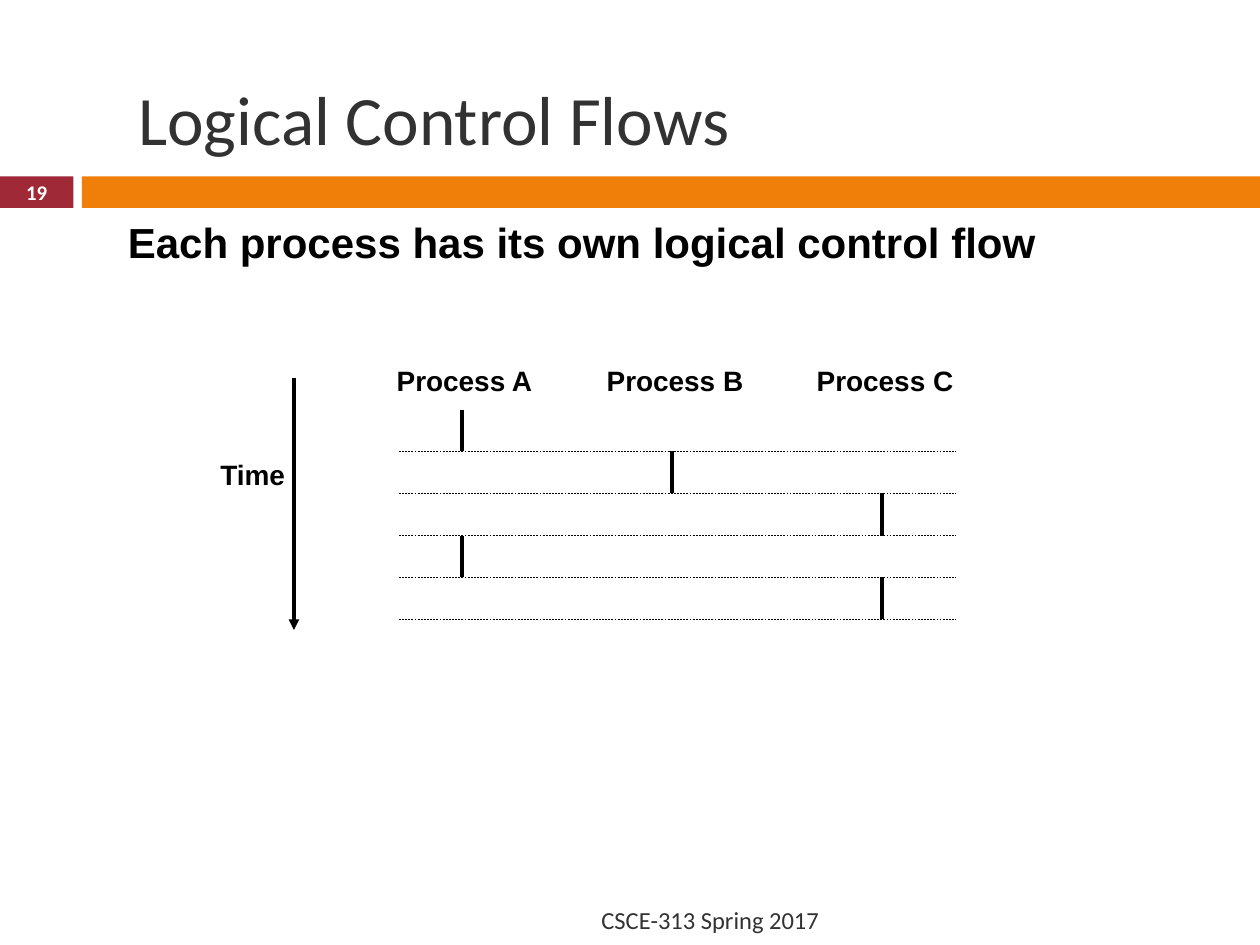
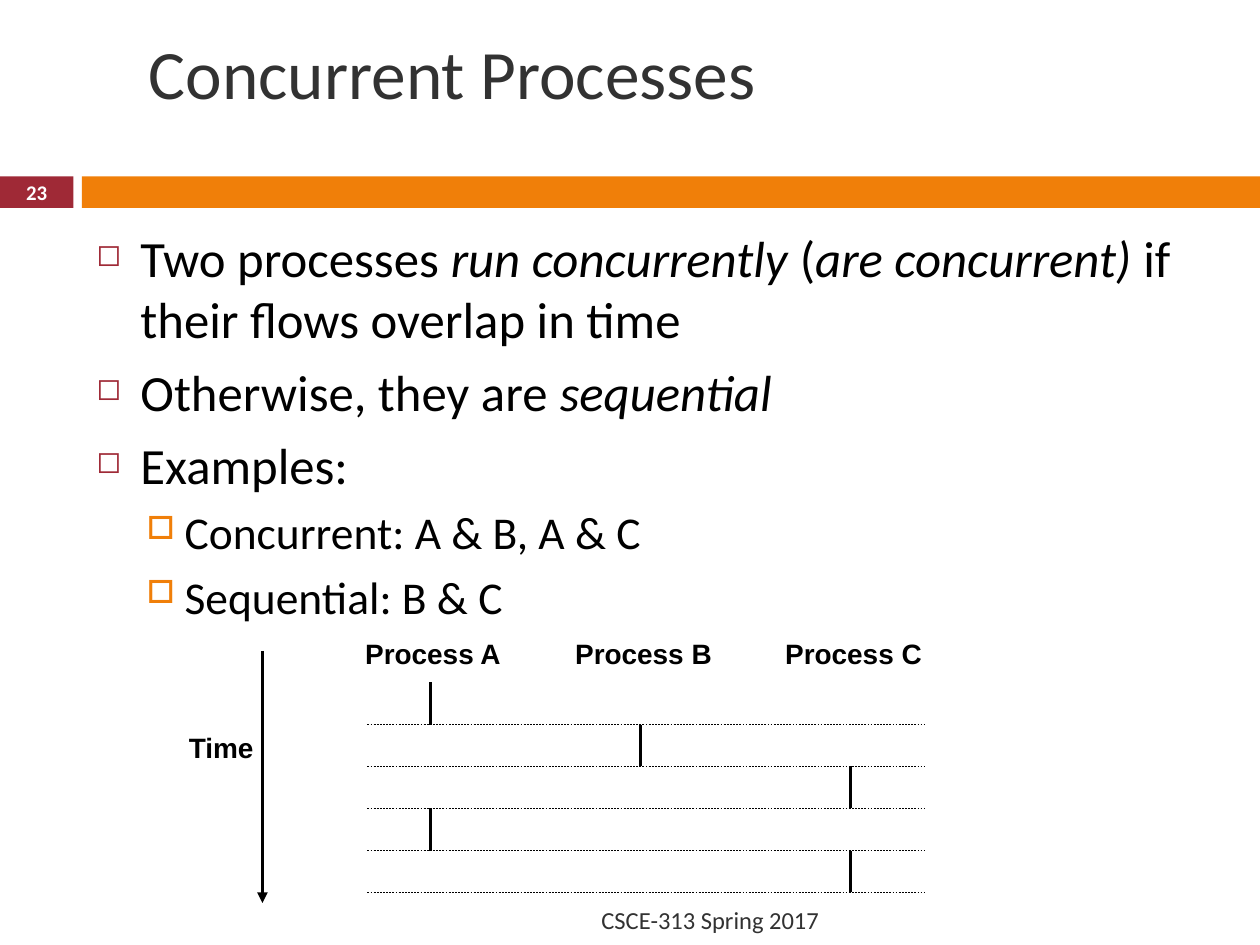
"""Build two slides on logical control flows and concurrent processes."""
from lxml.etree import SubElement
from pptx import Presentation
from pptx.dml.color import RGBColor
from pptx.enum.dml import MSO_LINE
from pptx.enum.shapes import MSO_CONNECTOR, MSO_SHAPE
from pptx.enum.text import MSO_ANCHOR as ANCHOR, MSO_AUTO_SIZE as FIT, PP_ALIGN as ALIGN
from pptx.oxml.ns import qn
from pptx.util import Inches, Pt

COLS, ROWS, PER_INCH = 120, 90, 12
RED, ORANGE, GREY, BLACK, WHITE = "9F2936", "F07F09", "323232", "000000", "FFFFFF"
BULLETS = [
    dict(char="◻", color=RED, scale=60, left=0.35, hang=0.35, before=7, size=29),
    dict(char="□", color=ORANGE, scale=70, left=0.7, hang=0.3, before=5.5, size=26),
]
BAND_TOP, BAND_HEIGHT = 16.8, 3
LANES = {"A": 16, "B": 36, "C": 56}
SCHEDULE = "ABCAC"
FIRST_ROW, STEP = 5, 4


def grid(n):
    return Inches(n / PER_INCH)


def rgb(value):
    return RGBColor.from_string(value)


def add_run(p, text, size=16, color=BLACK, font="Arial", bold=False, italic=False):
    r = p.add_run()
    r.text = text
    r.font.size, r.font.name = Pt(size), font
    r.font.bold, r.font.italic = bold, italic
    r.font.color.rgb = rgb(color)


class Deck:
    def __init__(self):
        self.prs = Presentation()
        self.prs.slide_width, self.prs.slide_height = grid(COLS), grid(ROWS)
        self.s = None

    def slide(self, title, number, title_at):
        self.s = self.prs.slides.add_slide(self.prs.slide_layouts[6])
        self.bar(0, 7, RED)
        self.bar(7.8, COLS - 7.8, ORANGE)
        self.text(title, *title_at, 79.5, 7.6, anchor=ANCHOR.MIDDLE,
                  size=39.6, color=GREY, font="Calibri")
        self.text("CSCE-313 Spring 2017", 8, 85.2, 71.2, 4.8, anchor=ANCHOR.MIDDLE,
                  align=ALIGN.RIGHT, size=14, color=GREY, font="Calibri")
        self.text(str(number), 0, BAND_TOP - 0.1, 7, BAND_HEIGHT + 0.2,
                  anchor=ANCHOR.MIDDLE, align=ALIGN.CENTER, size=11.9,
                  color=WHITE, font="Calibri", bold=True)

    def bar(self, x, width, color):
        sp = self.s.shapes.add_shape(MSO_SHAPE.RECTANGLE, grid(x), grid(BAND_TOP),
                                     grid(width), grid(BAND_HEIGHT))
        sp.shadow.inherit = False
        sp.fill.solid()
        sp.fill.fore_color.rgb = rgb(color)
        sp.line.fill.background()

    def box(self, x, y, width, height, anchor=ANCHOR.TOP, wrap=True):
        tf = self.s.shapes.add_textbox(grid(x), grid(y), grid(width), grid(height)).text_frame
        tf.word_wrap, tf.vertical_anchor = wrap, anchor
        tf.auto_size = FIT.NONE if wrap else FIT.SHAPE_TO_FIT_TEXT
        return tf

    def text(self, text, x, y, width, height, anchor=ANCHOR.TOP, wrap=True,
             align=ALIGN.LEFT, **style):
        p = self.box(x, y, width, height, anchor, wrap).paragraphs[0]
        p.alignment = align
        add_run(p, text, **style)

    def label(self, text, x, y, width, height=4.4, size=16):
        self.text(text, x, y, width, height, wrap=False, size=size, bold=True)

    def line(self, x1, y1, x2, y2, width=2, dashed=False, arrow=False):
        sp = self.s.shapes.add_connector(MSO_CONNECTOR.STRAIGHT, grid(x1), grid(y1),
                                         grid(x2), grid(y2))
        sp.line.width = Pt(width)
        sp.line.color.rgb = rgb(BLACK)
        if dashed:
            sp.line.dash_style = MSO_LINE.DASH
        if arrow:
            SubElement(sp.line._get_or_add_ln(), qn("a:tailEnd"), type="triangle")
        SubElement(sp._element.spPr, qn("a:effectLst"))

    def bullets(self, items, x, y, width, height):
        tf = self.box(x, y, width, height)
        for i, (level, runs) in enumerate(items):
            p = tf.add_paragraph() if i else tf.paragraphs[0]
            look = BULLETS[level]
            p.level = level
            p.space_before = Pt(look["before"] if i else 0)
            pPr = p._p.get_or_add_pPr()
            pPr.set("marL", str(Inches(look["left"])))
            pPr.set("indent", str(-Inches(look["hang"])))
            SubElement(SubElement(pPr, qn("a:buClr")), qn("a:srgbClr"), val=look["color"])
            SubElement(pPr, qn("a:buSzPct"), val=str(look["scale"] * 1000))
            SubElement(pPr, qn("a:buChar"), char=look["char"])
            for j, run in enumerate(runs):
                add_run(p, run, size=look["size"], font="Calibri", italic=j % 2 == 1)

    def control_flow(self, x, y):
        self.line(x, y + 2, x, y + 26, arrow=True)
        self.label("Time", x - 8.2, y + 9, 8.6)
        for name, lane in LANES.items():
            self.label(f"Process {name}", x + lane - 7.4, y, 15.5)
        for i, name in enumerate(SCHEDULE):
            top = y + FIRST_ROW + i * STEP
            lane = x + LANES[name]
            self.line(lane, top, lane, top + STEP)
            self.line(x + 10, top + STEP, x + 63, top + STEP, width=0.25, dashed=True)


def main():
    deck = Deck()
    deck.slide("Logical Control Flows", 19, title_at=(12, 7.4))
    deck.label("Each process has its own logical control flow", 11, 20, 89, 6, size=24)
    deck.control_flow(28, 34)

    deck.slide("Concurrent Processes", 23, title_at=(13, 3))
    deck.bullets([
        (0, ["Two processes ", "run concurrently", " (", "are concurrent)",
             " if their flows overlap in time"]),
        (0, ["Otherwise, they are ", "sequential"]),
        (0, ["Examples:"]),
        (1, ["Concurrent: A & B, A & C"]),
        (1, ["Sequential: B & C"]),
    ], 8, 21, 107, 62)
    deck.control_flow(25, 60)
    deck.prs.save("out.pptx")


if __name__ == "__main__":
    main()
